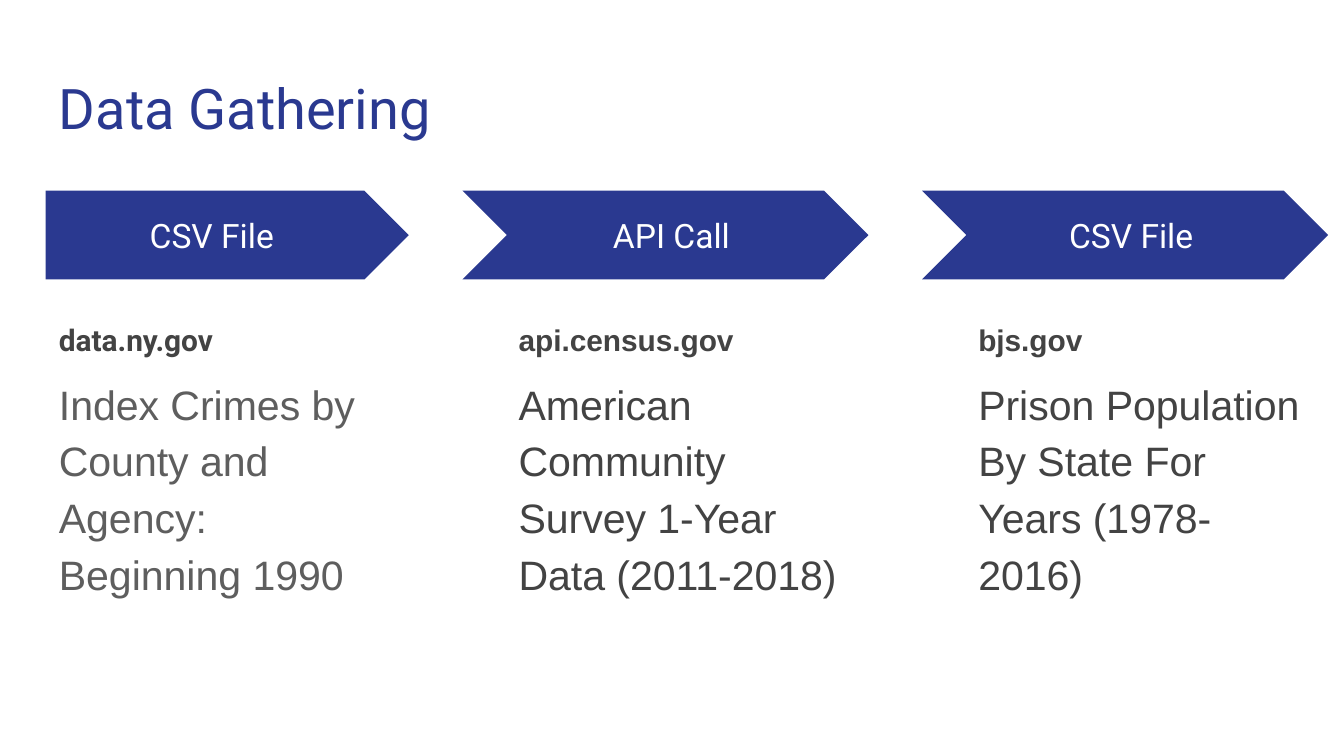
import pptx
import pptx.dml.color
import pptx.enum.shapes
import pptx.enum.text
import pptx.util

Pt = pptx.util.Pt
Shape = pptx.enum.shapes.MSO_SHAPE
Align = pptx.enum.text.PP_ALIGN
Anchor = pptx.enum.text.MSO_ANCHOR


class Theme:
    blue = "2A3990"
    white = "FFFFFF"
    dark = "434343"
    gray = "5E5E5E"
    title = 30
    label = 18
    site = 16
    body = 22
    head = "Roboto"
    plain = "Arial"
    inset = 7.2


class Deck:
    def __init__(self, theme, slide):
        self.theme = theme
        self.slide = slide

    def color(self, code):
        return pptx.dml.color.RGBColor.from_string(code)

    def style(self, line, size, font, code, bold=False):
        for run in line.runs:
            run.font.size = Pt(size)
            run.font.name = font
            run.font.bold = bold
            run.font.color.rgb = self.color(code)

    def box(self, left, top, width, height, text, anchor=Anchor.TOP):
        shape = self.slide.shapes.add_textbox(
            Pt(left), Pt(top), Pt(width), Pt(height))
        frame = shape.text_frame
        frame.word_wrap = True
        frame.vertical_anchor = anchor
        inset = Pt(self.theme.inset)
        frame.margin_left = frame.margin_right = inset
        frame.margin_top = frame.margin_bottom = inset
        frame.text = text
        return frame

    def title(self, left, top, width, height, text):
        frame = self.box(left, top, width, height, text)
        self.style(frame.paragraphs[0], self.theme.title,
                   self.theme.head, self.theme.blue)

    def arrow(self, kind, left, top, width, height):
        shape = self.slide.shapes.add_shape(
            kind, Pt(left), Pt(top), Pt(width), Pt(height))
        shape.adjustments[0] = 0.5
        shape.shadow.inherit = False
        shape.fill.solid()
        shape.fill.fore_color.rgb = self.color(self.theme.blue)
        shape.line.fill.background()

    def label(self, left, top, width, height, text):
        frame = self.box(left, top, width, height, text, Anchor.MIDDLE)
        line = frame.paragraphs[0]
        line.alignment = Align.CENTER
        self.style(line, self.theme.label, self.theme.head, self.theme.white)

    def source(self, left, top, width, height, site, font, text, code):
        frame = self.box(left, top, width, height, site)
        first = frame.paragraphs[0]
        self.style(first, self.theme.site, font, self.theme.dark, True)
        detail = frame.add_paragraph()
        detail.text = text
        detail.space_before = detail.space_after = Pt(8)
        self.style(detail, self.theme.body, self.theme.plain, code)
        for line in frame.paragraphs:
            line.line_spacing = 1.15


def main():
    show = pptx.Presentation()
    show.slide_width = Pt(720)
    show.slide_height = Pt(405)
    theme = Theme()
    deck = Deck(theme, show.slides.add_slide(show.slide_layouts[6]))

    left, pitch, width, notch = 24.5, 246.25, 194.5, 23
    deck.title(left, 32.4, 671, 47.5, "Data Gathering")

    steps = [
        ("CSV File", "data.ny.gov", theme.head,
         "Index Crimes by County and Agency: Beginning 1990", theme.gray),
        ("API Call", "api.census.gov", theme.plain,
         "American Community Survey 1-Year Data (2011-2018)", theme.dark),
        ("CSV File", "bjs.gov", theme.plain,
         "Prison Population By State For Years (1978-2016)", theme.dark),
    ]
    for place, (label, site, font, text, code) in enumerate(steps):
        x = left + place * pitch
        kind = Shape.CHEVRON if place else Shape.PENTAGON
        tail = notch if place else 0
        deck.arrow(kind, x - tail, 102.2, width + tail, 47.5)
        deck.label(x, 113.8, 178, 24.5, label)
        deck.source(x, 162, width, 209, site, font, text, code)

    show.save("out.pptx")


if __name__ == "__main__":
    main()
